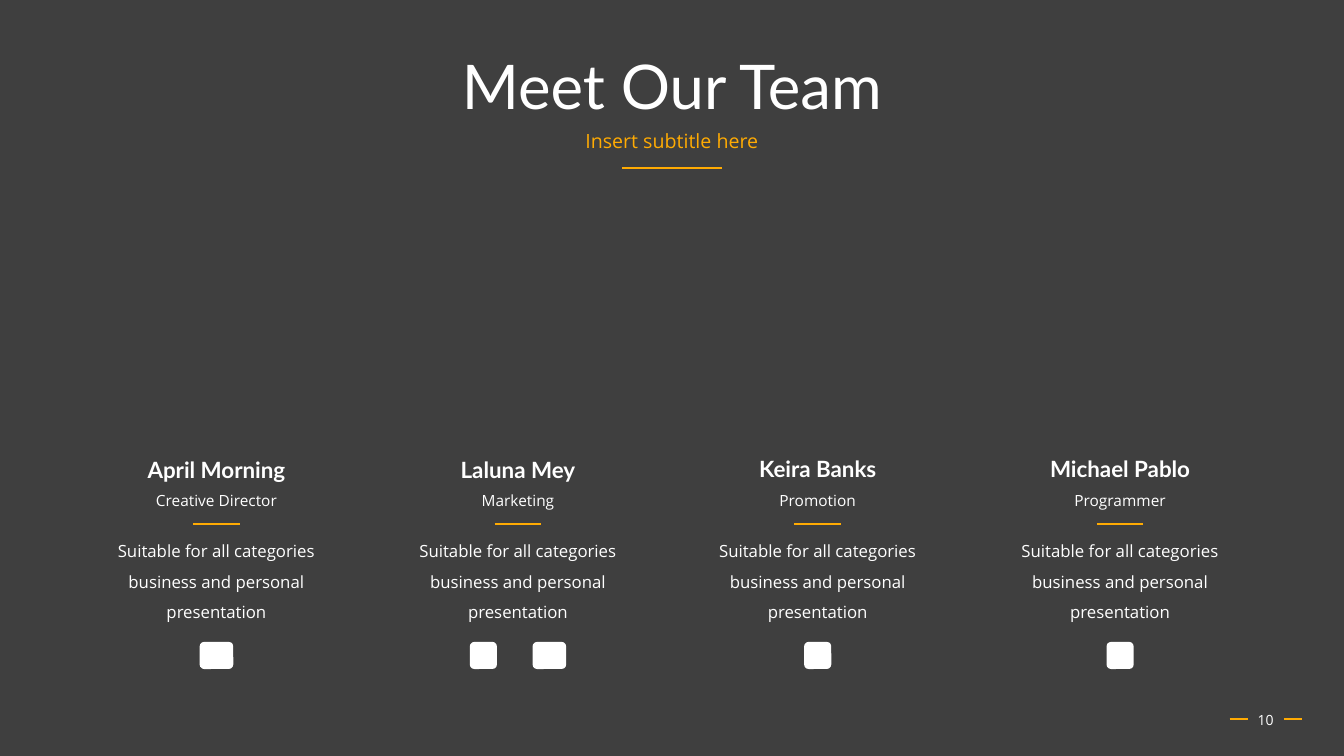
from dataclasses import dataclass

from lxml.etree import SubElement
from pptx import Presentation
from pptx.dml.color import RGBColor
from pptx.enum.shapes import MSO_CONNECTOR, MSO_SHAPE
from pptx.enum.text import MSO_ANCHOR, MSO_AUTO_SIZE, PP_ALIGN
from pptx.oxml.ns import qn
from pptx.util import Pt


@dataclass(frozen=True)
class Theme:
    """Colours, fonts and type sizes of the slide."""
    background: RGBColor = RGBColor(0x3F, 0x3F, 0x3F)
    text: RGBColor = RGBColor(0xFF, 0xFF, 0xFF)
    accent: RGBColor = RGBColor(0xFF, 0xAB, 0x03)
    heading_font: str = "Lato"
    body_font: str = "Open Sans"
    title_size: int = 44
    subtitle_size: int = 14
    name_size: int = 16
    description_size: int = 12
    role_size: int = 11
    number_size: int = 10
    rule_width: float = 1.75


THEME = Theme()
DESCRIPTION = "Suitable for all categories business and personal presentation"
ICON_CENTRE, ICON_HEIGHT = 468.2, 19.4
NARROW, WIDE = 19.4, 24

# Column centre, name, name top, role, icons as (offset from centre, width)
MEMBERS = [
    (154.6, "April Morning", 322.6, "Creative Director", [(0, WIDE)]),
    (370, "Laluna Mey", 322.6, "Marketing", [(-24.7, NARROW), (22.4, WIDE)]),
    (584.1, "Keira Banks", 321.8, "Promotion", [(0, NARROW)]),
    (800.1, "Michael Pablo", 321.8, "Programmer", [(0, NARROW)]),
]


def set_attributes(target, values):
    """Set each attribute of target from a dict of values."""
    for attribute, value in values.items():
        setattr(target, attribute, value)


def format_text(shape, text, size, font=THEME.body_font, color=THEME.text,
                bold=False, paragraph_format=None, frame_format=None):
    """Write one centred paragraph into a shape and format it."""
    frame = shape.text_frame
    set_attributes(frame, {"word_wrap": True, **(frame_format or {})})
    paragraph = frame.paragraphs[0]
    set_attributes(paragraph, {"alignment": PP_ALIGN.CENTER,
                               **(paragraph_format or {})})
    run = paragraph.add_run()
    run.text = text
    set_attributes(run.font, {"name": font, "size": Pt(size), "bold": bold})
    run.font.color.rgb = color
    return paragraph


def place(shape, left, top, width, height):
    """Move and size a shape, in points."""
    set_attributes(shape, {"left": Pt(left), "top": Pt(top),
                           "width": Pt(width), "height": Pt(height)})


def add_text(slide, centre, top, width, height, text, size, **formats):
    """Add a text box centred on a horizontal position."""
    box = slide.shapes.add_textbox(Pt(centre - width / 2), Pt(top),
                                   Pt(width), Pt(height))
    format_text(box, text, size, **formats)


def add_rule(slide, centre, top, length):
    """Add a horizontal accent line centred on a position."""
    rule = slide.shapes.add_connector(
        MSO_CONNECTOR.STRAIGHT, Pt(centre - length / 2), Pt(top),
        Pt(centre + length / 2), Pt(top))
    rule.line.color.rgb = THEME.accent
    rule.line.width = Pt(THEME.rule_width)
    properties = rule.line._get_or_add_ln().getparent()
    SubElement(properties, qn("a:effectLst"))


def add_icon(slide, centre, width):
    """Add a plain rounded square in the place of a social icon."""
    icon = slide.shapes.add_shape(
        MSO_SHAPE.ROUNDED_RECTANGLE, Pt(centre - width / 2),
        Pt(ICON_CENTRE - ICON_HEIGHT / 2), Pt(width), Pt(ICON_HEIGHT))
    icon.shadow.inherit = False
    icon.fill.solid()
    icon.fill.fore_color.rgb = THEME.text
    icon.line.fill.background()


def add_heading(slide):
    """Fill the title and subtitle placeholders and underline them."""
    title, subtitle = slide.shapes.title, slide.placeholders[1]
    place(title, 66, 28.8, 828, 70.6)
    format_text(title, "Meet Our Team", THEME.title_size, THEME.heading_font,
                paragraph_format={"line_spacing": 0.9},
                frame_format={"vertical_anchor": MSO_ANCHOR.MIDDLE,
                              "auto_size": MSO_AUTO_SIZE.NONE})
    place(subtitle, 66, 90.7, 828, 28.8)
    paragraph = format_text(
        subtitle, "Insert subtitle here", THEME.subtitle_size,
        color=THEME.accent,
        paragraph_format={"line_spacing": 0.9, "space_before": Pt(10)},
        frame_format={"auto_size": MSO_AUTO_SIZE.NONE})
    properties = paragraph._p.get_or_add_pPr()
    properties.set("marL", "0")
    properties.set("indent", "0")
    SubElement(properties, qn("a:buNone"))
    add_rule(slide, 480, 120.1, 71.3)


def add_member(slide, centre, name, name_top, role, icons):
    """Add one team member's column."""
    grow = {"auto_size": MSO_AUTO_SIZE.SHAPE_TO_FIT_TEXT}
    add_text(slide, centre, name_top, 164.2, 26.6, name, THEME.name_size,
             font=THEME.heading_font, bold=True, frame_format=grow)
    add_text(slide, centre, 347, 164.2, 20.9, role, THEME.role_size,
             frame_format=grow)
    add_rule(slide, centre, 374.4, 33.3)
    add_text(slide, centre, 375.8, 182.2, 70.6, DESCRIPTION,
             THEME.description_size, frame_format=grow,
             paragraph_format={"line_spacing": 1.5})
    for offset, width in icons:
        add_icon(slide, centre + offset, width)


def add_page_number(slide, number):
    """Add the page number between two short lines."""
    centre = 904
    add_text(slide, centre, 499.7, 42.5, 28.8, number, THEME.number_size,
             frame_format={"vertical_anchor": MSO_ANCHOR.MIDDLE})
    for offset in (-19.2, 19.4):
        add_rule(slide, centre + offset, 513.7, 12.8)


def main():
    """Build the team slide and save it."""
    presentation = Presentation()
    set_attributes(presentation, {"slide_width": Pt(960),
                                  "slide_height": Pt(540)})
    slide = presentation.slides.add_slide(presentation.slide_layouts[1])
    slide.background.fill.solid()
    slide.background.fill.fore_color.rgb = THEME.background
    add_heading(slide)
    for member in MEMBERS:
        add_member(slide, *member)
    add_page_number(slide, "10")
    presentation.save("out.pptx")


if __name__ == "__main__":
    main()
